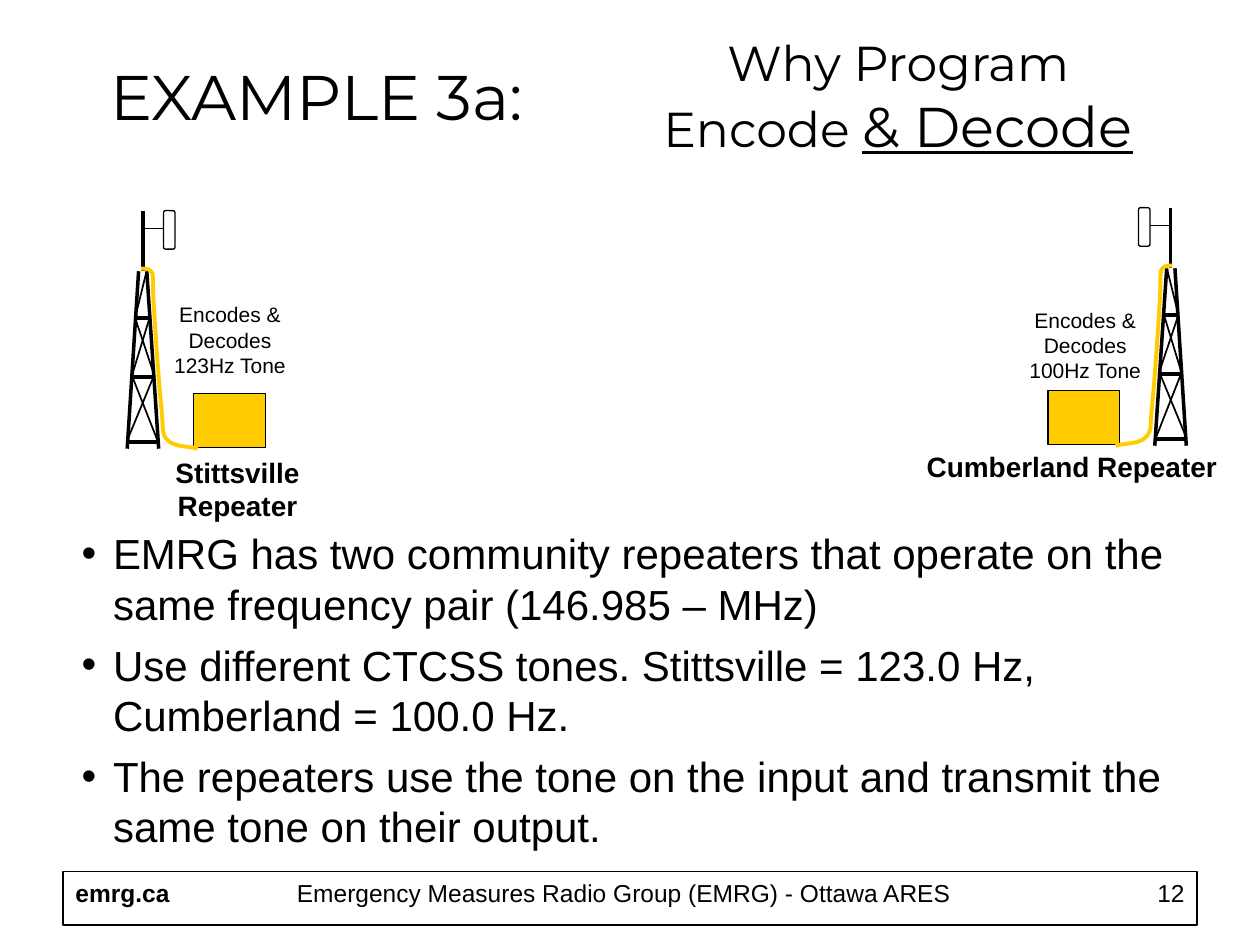
"""Build the slide on two repeaters that encode and decode different tones."""
from dataclasses import dataclass

from lxml.etree import SubElement
from pptx import Presentation
from pptx.dml.color import RGBColor
from pptx.enum.shapes import MSO_CONNECTOR, MSO_SHAPE
from pptx.enum.text import MSO_ANCHOR, PP_ALIGN
from pptx.oxml.ns import qn
from pptx.util import Pt


@dataclass(frozen=True)
class Theme:
    ink: RGBColor = RGBColor(0, 0, 0)
    radio: RGBColor = RGBColor(0xFF, 0xCC, 0x00)
    body_font: str = "Arial"
    title_font: str = "Montserrat"
    title: int = 36
    emphasis: int = 32
    subtitle: int = 28
    body: int = 24
    station: int = 16
    footer: int = 14
    note: int = 12
    thick: float = 2
    medium: float = 1
    thin: float = 0.75
    cable: float = 2.25


LEGS_AND_RUNGS = [
    (0, 34.6, 0, 0), (-9, 136, -2.5, 34.6), (2.2, 34.6, 9, 136),
    (-3.4, 61.2, 3.4, 61.2), (-6, 95, 6, 95), (-8.5, 132.3, 8.5, 132.3),
]
BRACES = [
    (-6, 95, 8.5, 131.8), (-9, 131.3, 6, 95), (-4.5, 61.2, 6.8, 95),
    (-6.5, 95, 4, 60.5), (-4.5, 61.2, 2, 35),
]
CABLE_START = (-1, 33.1)
CABLE_CURVES = [
    ((1.8, 33.1), (4, 33.1), (5.4, 36)),
    ((6.1, 39.6), (5.4, 39.6), (6.1, 52.6)),
    ((6.8, 64.8), (9, 97.9), (10.4, 111.6)),
    ((11.9, 124.6), (10.4, 127.4), (14, 131)),
    ((17.6, 135.4), (28.4, 134.6), (31.3, 136.1)),
]


def bezier_points(start, curves, steps=10):
    """Return points along a chain of cubic curves."""
    points = [start]
    for first, second, end in curves:
        for step in range(1, steps + 1):
            t = step / steps
            weights = ((1 - t) ** 3, 3 * t * (1 - t) ** 2, 3 * t * t * (1 - t), t ** 3)
            corners = (start, first, second, end)
            points.append(tuple(sum(w * c[axis] for w, c in zip(weights, corners))
                                for axis in (0, 1)))
        start = end
    return points


class SlideBuilder:
    """Hold the theme and the current slide."""

    def __init__(self, slide, theme):
        """Keep the slide and its theme."""
        self.slide = slide
        self.theme = theme

    def style_runs(self, paragraph, size, font, bold=False):
        """Format every run of a paragraph."""
        for run in paragraph.runs:
            run.font.size = Pt(size)
            run.font.name = font or self.theme.body_font
            run.font.bold = bold
            run.font.color.rgb = self.theme.ink

    def text(self, box, wording, size, align=PP_ALIGN.LEFT, font=None, bold=False,
             anchor=MSO_ANCHOR.TOP, wrap=True):
        """Add a text box and return its text frame."""
        frame = self.slide.shapes.add_textbox(*map(Pt, box)).text_frame
        frame.word_wrap = wrap
        frame.vertical_anchor = anchor
        frame.text = wording
        for paragraph in frame.paragraphs:
            paragraph.alignment = align
            self.style_runs(paragraph, size, font, bold)
        return frame

    def bullets(self, box, points, size):
        """Add a bulleted list."""
        frame = self.text(box, "\n".join(points), size)
        for index, paragraph in enumerate(frame.paragraphs):
            properties = paragraph._p.get_or_add_pPr()
            properties.set("marL", str(Pt(18)))
            properties.set("indent", str(Pt(-18)))
            SubElement(properties, qn("a:buFont"), typeface=self.theme.body_font)
            SubElement(properties, qn("a:buChar"), char="•")
            if index:
                paragraph.space_before = Pt(6)

    def line(self, start, end, width):
        """Add a straight line."""
        connector = self.slide.shapes.add_connector(
            MSO_CONNECTOR.STRAIGHT, *map(Pt, (*start, *end)))
        connector.line.color.rgb = self.theme.ink
        connector.line.width = Pt(width)
        SubElement(connector._element.spPr, qn("a:effectLst"))

    def box(self, box, width, fill=None, kind=MSO_SHAPE.RECTANGLE):
        """Add an outlined preset shape and return it."""
        shape = self.slide.shapes.add_shape(kind, *map(Pt, box))
        self.paint(shape, width, self.theme.ink, fill)
        return shape

    def paint(self, shape, width, colour, fill=None):
        """Set outline, fill and shadow of a shape."""
        shape.shadow.inherit = False
        shape.line.color.rgb = colour
        shape.line.width = Pt(width)
        if fill is None:
            shape.fill.background()
        else:
            shape.fill.solid()
            shape.fill.fore_color.rgb = fill

    def curve(self, points, width, colour):
        """Add an open outline through the points."""
        first, *rest = [(Pt(x), Pt(y)) for x, y in points]
        outline = self.slide.shapes.build_freeform(*first)
        outline.add_line_segments(rest, close=False)
        self.paint(outline.convert_to_shape(), width, colour)

    def tower(self, mast, top, side):
        """Add a repeater tower whose equipment lies to the given side."""
        theme = self.theme

        def place(x, y):
            return mast + side * x, top + y

        def span(x, y, width, height):
            return min(mast + side * x, mast + side * (x + width)), top + y, width, height

        for members, width in ((LEGS_AND_RUNGS, theme.thick), (BRACES, theme.medium),
                               ([(0.4, 10, 11.8, 10)], theme.thin)):
            for x1, y1, x2, y2 in members:
                self.line(place(x1, y1), place(x2, y2), width)
        antenna = self.box(span(11.8, 0, 6.5, 22), theme.thin,
                           kind=MSO_SHAPE.ROUNDED_RECTANGLE)
        antenna.adjustments[0] = 0.17
        self.box(span(29, 104.4, 41, 31), theme.thin, theme.radio)
        cable = [place(x, y) for x, y in bezier_points(CABLE_START, CABLE_CURVES)]
        self.curve(cable, theme.cable, theme.radio)


def main():
    """Build and save the presentation."""
    deck = Presentation()
    deck.slide_width, deck.slide_height = Pt(720), Pt(540)
    theme = Theme()
    page = SlideBuilder(deck.slides.add_slide(deck.slide_layouts[6]), theme)
    center = PP_ALIGN.CENTER

    page.box((36, 498, 648, 30.5), theme.medium)
    page.text((36, 498, 73, 24.5), "emrg.ca", theme.footer, bold=True)
    page.text((119, 498, 475, 31), "Emergency Measures Radio Group (EMRG) - Ottawa ARES",
              theme.footer, center)
    page.text((598.5, 498, 85.5, 31), "12", theme.footer, PP_ALIGN.RIGHT)

    page.text((56, 9.5, 299.5, 90), "EXAMPLE 3a:", theme.title,
              font=theme.title_font, anchor=MSO_ANCHOR.MIDDLE)
    question = page.text((357, 9.5, 312.5, 90), "Why Program\nEncode ", theme.subtitle,
                         center, theme.title_font, anchor=MSO_ANCHOR.MIDDLE)
    decode = question.paragraphs[1].add_run()
    decode.text = "& Decode"
    page.style_runs(question.paragraphs[1], theme.subtitle, theme.title_font)
    decode.font.size = Pt(theme.emphasis)
    decode.font.underline = True

    stations = [
        ("Stittsville Repeater", (57, 256.5, 157.5, 26.5), (81.7, 120.4, 1),
         "123Hz", (85.7, 169)),
        ("Cumberland Repeater", (522.5, 253.3, 180, 26.5), (668.9, 118.7, -1),
         "100Hz", (574.4, 172)),
    ]
    for name, name_box, tower, tone, note_corner in stations:
        page.tower(*tower)
        page.text(name_box, name, theme.station, center, bold=True, wrap=False)
        page.text((*note_corner, 91.5, 50.5), f"Encodes & Decodes {tone} Tone",
                  theme.note, center)

    page.bullets((39.5, 298, 644.5, 192), [
        "EMRG has two community repeaters that operate on the same frequency pair "
        "(146.985 – MHz)",
        "Use different CTCSS tones. Stittsville = 123.0 Hz, Cumberland = 100.0 Hz.",
        "The repeaters use the tone on the input and transmit the same tone on their output.",
    ], theme.body)
    deck.save("out.pptx")


if __name__ == "__main__":
    main()
